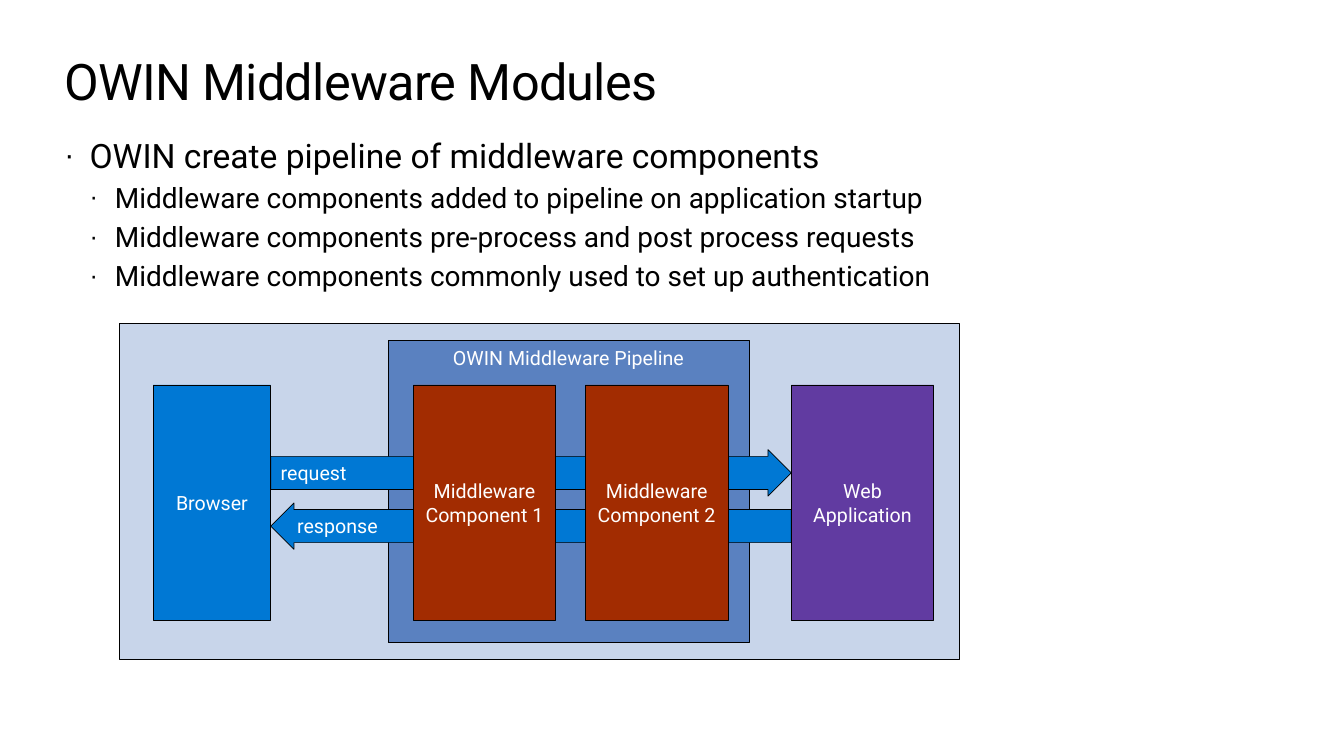
from pptx import Presentation
from pptx.dml.color import RGBColor
from pptx.enum.shapes import MSO_SHAPE
from pptx.enum.text import MSO_ANCHOR, MSO_AUTO_SIZE, PP_ALIGN
from pptx.oxml.ns import qn
from pptx.util import Pt
from lxml import etree

RECT = MSO_SHAPE.RECTANGLE
RIGHT_ARROW, LEFT_ARROW = MSO_SHAPE.RIGHT_ARROW, MSO_SHAPE.LEFT_ARROW
TOP, MIDDLE = MSO_ANCHOR.TOP, MSO_ANCHOR.MIDDLE
LEFT, CENTER = PP_ALIGN.LEFT, PP_ALIGN.CENTER
NO_FIT = MSO_AUTO_SIZE.NONE

# Content
FONT = "Roboto"
BLACK, WHITE, BLUE = "000000", "FFFFFF", "0078D4"
PANEL_FILL, PIPELINE_FILL = "C8D5EA", "5A81C0"
RED, PURPLE = "A22C01", "613BA1"

TITLE = "OWIN Middleware Modules"
BULLETS = [
    (0, "OWIN create pipeline of middleware components"),
    (1, "Middleware components added to pipeline on application startup"),
    (1, "Middleware components pre-process and post process requests"),
    (1, "Middleware components commonly used to set up authentication"),
]
BULLET_SIZES = (24, 20)
PIPELINE = "OWIN Middleware Pipeline"
ARROWS = [("request", RIGHT_ARROW), ("response", LEFT_ARROW)]
BLOCKS = [  # text, left, width, fill
    ("Browser", 109.4, 84, BLUE),
    ("Middleware\nComponent 1", 295.2, 101.8, RED),
    ("Middleware\nComponent 2", 418.2, 101.8, RED),
    ("Web\nApplication", 565.2, 101.8, PURPLE),
]

# Layout in points
MARGIN, TEXT_WIDTH = 46, 868
INDENT = 18
BLOCK_TOP, BLOCK_HEIGHT = 275, 168
ARROW_TOP, ARROW_PITCH, ARROW_HEIGHT = 321.2, 38, 33.2


def color(value):
    return RGBColor.from_string(value)


def style_run(r, size, fill):
    r.font.name = FONT
    r.font.size = Pt(size)
    r.font.color.rgb = color(fill)


def place(sp, left, top, width, height):
    sp.left, sp.top, sp.width, sp.height = map(Pt, (left, top, width, height))
    tf = sp.text_frame
    tf.margin_left = tf.margin_top = tf.margin_right = tf.margin_bottom = 0
    tf.vertical_anchor = TOP
    tf.word_wrap = True
    tf.auto_size = NO_FIT
    return tf


def add_bullet(p, level):
    pPr = p._p.get_or_add_pPr()
    pPr.set("marL", str(Pt(INDENT * (level + 1))))
    pPr.set("indent", str(Pt(-INDENT)))
    for tag, key, value in (("a:buSzPct", "val", "90000"),
                            ("a:buFont", "typeface", "Arial"),
                            ("a:buChar", "char", "·")):
        etree.SubElement(pPr, qn(tag)).set(key, value)


def add_block(s, kind, left, top, width, height, fill,
              text="", align=CENTER, anchor=MIDDLE):
    sp = s.shapes.add_shape(kind, Pt(left), Pt(top), Pt(width), Pt(height))
    sp.shadow.inherit = False
    sp.fill.solid()
    sp.fill.fore_color.rgb = color(fill)
    sp.line.color.rgb = color(BLACK)
    sp.line.width = Pt(0.5)
    tf = sp.text_frame
    tf.word_wrap = True
    tf.vertical_anchor = anchor
    tf.text = text
    for p in tf.paragraphs:
        p.alignment = align
        for r in p.runs:
            style_run(r, 14, WHITE)
    return sp


def main():
    prs = Presentation()
    prs.slide_width, prs.slide_height = Pt(960), Pt(540)
    s = prs.slides.add_slide(prs.slide_layouts[1])

    # Title
    tf = place(s.shapes.title, MARGIN, 36, TEXT_WIDTH, 44)
    tf.text = TITLE
    p = tf.paragraphs[0]
    p.alignment = LEFT
    style_run(p.runs[0], 36, BLACK)
    p.runs[0]._r.get_or_add_rPr().set("spc", "-50")

    # Bullet list
    tf = place(s.placeholders[1], MARGIN, 96, TEXT_WIDTH, 397)
    for i, (level, text) in enumerate(BULLETS):
        p = tf.add_paragraph() if i else tf.paragraphs[0]
        p.text = text
        p.level = level
        add_bullet(p, level)
        style_run(p.runs[0], BULLET_SIZES[level], BLACK)
    tf.paragraphs[0].space_before = Pt(0)

    # Background panels
    add_block(s, RECT, 85, 231, 600, 240, PANEL_FILL)
    add_block(s, RECT, 277.2, 243.2, 257.8, 216, PIPELINE_FILL,
              PIPELINE, anchor=TOP)

    # Arrows run from the browser to the web application
    start = BLOCKS[0][1] + BLOCKS[0][2]
    span = BLOCKS[-1][1] - start
    for i, (text, kind) in enumerate(ARROWS):
        sp = add_block(s, kind, start, ARROW_TOP + i * ARROW_PITCH, span,
                       ARROW_HEIGHT, BLUE, text, LEFT)
        sp.adjustments[0] = 0.71
        sp.adjustments[1] = 0.5

    # Blocks in front of the arrows
    for text, left, width, fill in BLOCKS:
        add_block(s, RECT, left, BLOCK_TOP, width, BLOCK_HEIGHT, fill, text)

    prs.save("out.pptx")


if __name__ == "__main__":
    main()
